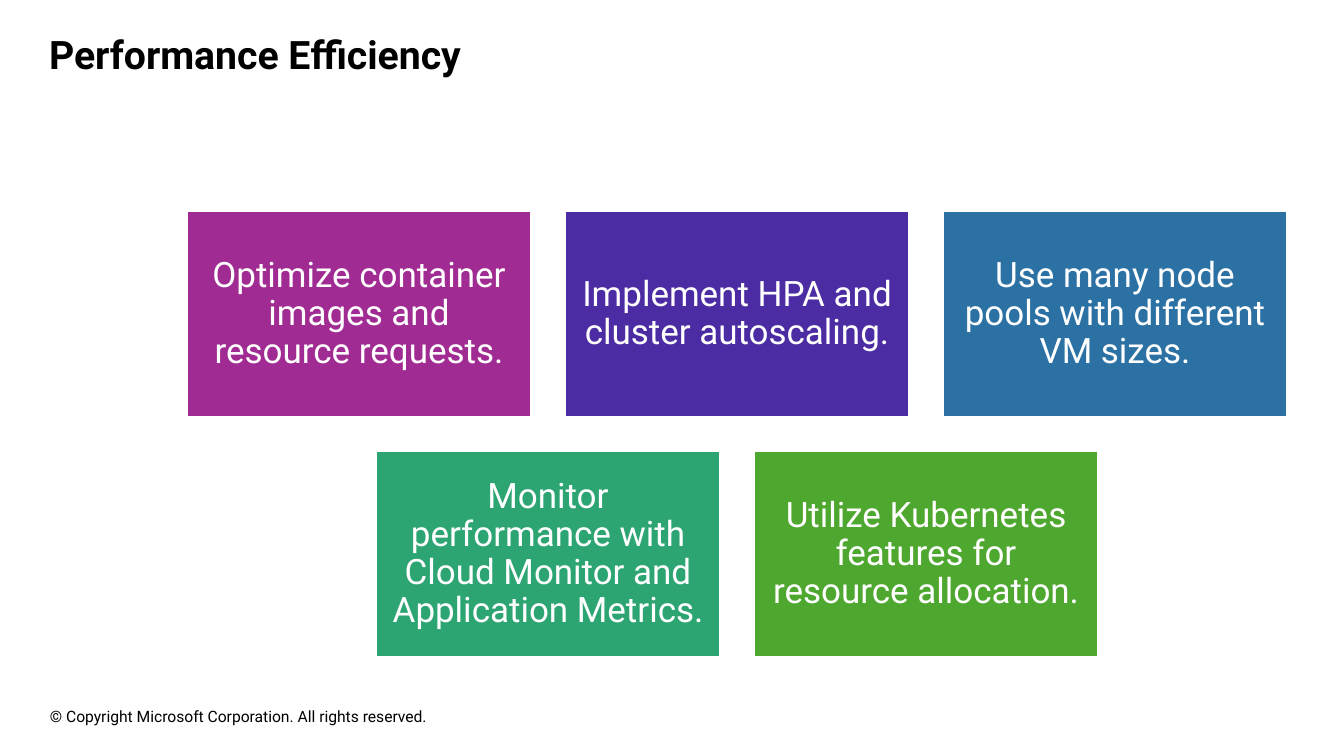
from dataclasses import dataclass

import pptx
import pptx.dml.color
import pptx.enum.shapes
import pptx.enum.text
import pptx.util

EMU_PER_PX = 914400 / 100.8
SLIDE_WIDTH, SLIDE_HEIGHT = 1344, 756
TILE_WIDTH, TILE_HEIGHT, TILE_GAP = 344, 206, 34
TILES_CENTER, TILES_TOP = 737, 211
TILE_INSET = 10

ALIGN = pptx.enum.text.PP_ALIGN
ANCHOR = pptx.enum.text.MSO_ANCHOR


@dataclass(frozen=True)
class Theme:
    font: str = "Roboto"
    ink: str = "000000"
    paper: str = "FFFFFF"
    magenta: str = "A02B93"
    violet: str = "4B2CA2"
    blue: str = "2C71A4"
    teal: str = "2DA573"
    green: str = "4EA72E"
    title_size: float = 28
    tile_size: float = 25
    copyright_size: float = 11.2


THEME = Theme()

PRACTICE_ROWS = [
    [
        ("Optimize container images and resource requests.", THEME.magenta),
        ("Implement HPA and cluster autoscaling.", THEME.violet),
        ("Use many node pools with different VM sizes.", THEME.blue),
    ],
    [
        ("Monitor performance with Cloud Monitor and Application Metrics.", THEME.teal),
        ("Utilize Kubernetes features for resource allocation.", THEME.green),
    ],
]


def px(length):
    return pptx.util.Emu(round(length * EMU_PER_PX))


def rgb(color):
    return pptx.dml.color.RGBColor.from_string(color)


def write_text(frame, text, *, size, color=THEME.ink, bold=False, align=ALIGN.LEFT,
               anchor=ANCHOR.TOP, inset=(0, 0), line_spacing=1.0):
    frame.word_wrap = True
    frame.auto_size = pptx.enum.text.MSO_AUTO_SIZE.NONE
    frame.vertical_anchor = anchor
    frame.margin_left = frame.margin_right = px(inset[0])
    frame.margin_top = frame.margin_bottom = px(inset[1])
    paragraph = frame.paragraphs[0]
    paragraph.text = text
    paragraph.alignment = align
    paragraph.line_spacing = line_spacing
    paragraph.space_before = pptx.util.Pt(0)
    font = paragraph.runs[0].font
    font.name = THEME.font
    font.size = pptx.util.Pt(size)
    font.bold = bold
    font.color.rgb = rgb(color)


def set_title(slide, text):
    title = slide.shapes.title
    title.left, title.top, title.width, title.height = map(px, (39, 25, 672, 57))
    write_text(title.text_frame, text, size=THEME.title_size, bold=True, inset=(10, 5))


def add_tile(slide, left, top, practice, color):
    tile = slide.shapes.add_shape(
        pptx.enum.shapes.MSO_SHAPE.RECTANGLE,
        px(left), px(top), px(TILE_WIDTH), px(TILE_HEIGHT))
    tile.shadow.inherit = False
    tile.fill.solid()
    tile.fill.fore_color.rgb = rgb(color)
    tile.line.color.rgb = rgb(THEME.paper)
    tile.line.width = pptx.util.Pt(1.5)
    write_text(tile.text_frame, practice, size=THEME.tile_size, color=THEME.paper,
               align=ALIGN.CENTER, anchor=ANCHOR.MIDDLE,
               inset=(TILE_INSET, TILE_INSET), line_spacing=0.9)


def add_tile_rows(slide, rows):
    for row_index, row in enumerate(rows):
        row_width = len(row) * (TILE_WIDTH + TILE_GAP) - TILE_GAP
        row_left = TILES_CENTER - row_width // 2
        top = TILES_TOP + row_index * (TILE_HEIGHT + TILE_GAP)
        for column, (practice, color) in enumerate(row):
            left = row_left + column * (TILE_WIDTH + TILE_GAP)
            add_tile(slide, left, top, practice, color)


def add_copyright(slide, text):
    notice = slide.shapes.add_textbox(*map(px, (50, 707, 409, 19)))
    write_text(notice.text_frame, text, size=THEME.copyright_size)


def main():
    presentation = pptx.Presentation()
    presentation.slide_width = px(SLIDE_WIDTH)
    presentation.slide_height = px(SLIDE_HEIGHT)
    title_only = presentation.slide_layouts.get_by_name("Title Only")
    slide = presentation.slides.add_slide(title_only)
    set_title(slide, "Performance Efficiency")
    add_copyright(slide, "© Copyright Microsoft Corporation. All rights reserved.")
    add_tile_rows(slide, PRACTICE_ROWS)
    presentation.save("out.pptx")


if __name__ == "__main__":
    main()
